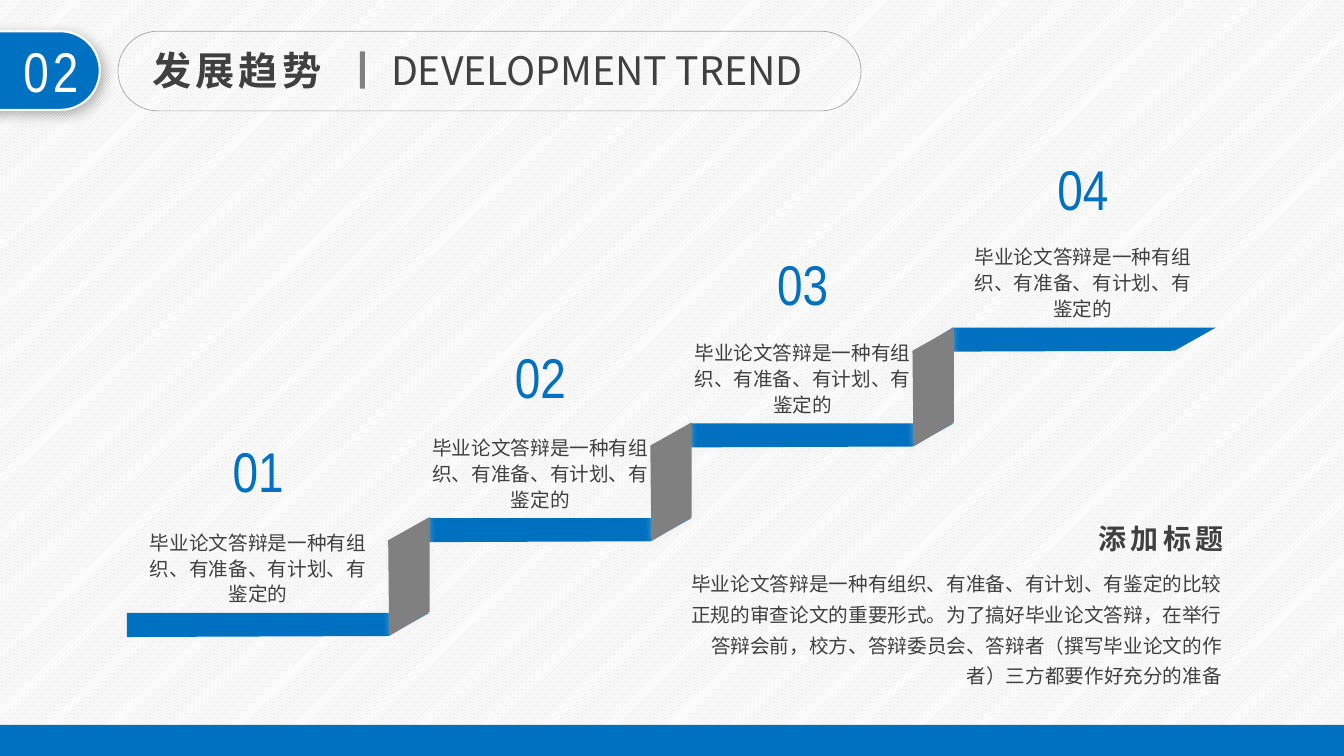
from lxml import etree
from pptx import Presentation, util as u
from pptx.dml.color import RGBColor
from pptx.enum import dml, shapes, text as t
from pptx.oxml import ns

PX = 9144  # 100 px to the inch
BLUE = RGBColor(0x00, 0x70, 0xC0)
GRAY = RGBColor(0x80, 0x80, 0x80)
DARK = RGBColor(0x40, 0x40, 0x40)
EDGE = RGBColor(0xA6, 0xA6, 0xA6)
PALE = RGBColor(0xEC, 0xEC, 0xEC)
HATCH = RGBColor(0xD9, 0xD9, 0xD9)
WHITE = RGBColor(0xFF, 0xFF, 0xFF)
BLACK = RGBColor(0, 0, 0)
NOTO, SLIM, ARIAL = "Noto Sans CJK SC", "Arial Narrow", "Arial"
LEFT, MID, RIGHT = t.PP_ALIGN.LEFT, t.PP_ALIGN.CENTER, t.PP_ALIGN.RIGHT
TOP, CENTER, BASE = t.MSO_ANCHOR.TOP, t.MSO_ANCHOR.MIDDLE, t.MSO_ANCHOR.BOTTOM
FIT, FIXED = t.MSO_AUTO_SIZE.SHAPE_TO_FIT_TEXT, t.MSO_AUTO_SIZE.NONE

prs = Presentation()
prs.slide_width, prs.slide_height = 1333 * PX, 750 * PX
slide = prs.slides.add_slide(prs.slide_layouts[5])
back = slide.background.fill
back.patterned()
back.pattern = dml.MSO_PATTERN.LIGHT_UPWARD_DIAGONAL
back.fore_color.rgb, back.back_color.rgb = HATCH, WHITE


def write(words, box, size, font, color=DARK, bold=False, track=0, align=LEFT,
          anchor=TOP, inset=(10, 5, 10, 5), wrap=True, fit=FIT, lead=1.0, shape=None):
    """Put words in a new text box, or in the given placeholder; box is in px."""
    shape = shape or slide.shapes.add_textbox(0, 0, 0, 0)
    shape.left, shape.top, shape.width, shape.height = [v * PX for v in box]
    frame = shape.text_frame
    frame.margin_left, frame.margin_top, frame.margin_right, frame.margin_bottom = [
        v * PX for v in inset]
    frame.word_wrap, frame.auto_size, frame.vertical_anchor = wrap, fit, anchor
    para = frame.paragraphs[0]
    para.alignment, para.line_spacing = align, lead
    run = para.add_run()
    run.text = words
    run.font.size, run.font.name, run.font.bold = u.Pt(size), font, bold
    run.font.color.rgb = color
    props = run.font._element
    props.set("spc", str(track * 100))
    props.find(ns.qn("a:latin")).addnext(
        props.makeelement(ns.qn("a:ea"), {"typeface": NOTO}))


def paint(shape, fill=None, line=None, width=1, shade=None):
    """Set fill, line and shadow; shade is colour, opacity %, blur pt, distance pt, angle."""
    shape.shadow.inherit = False
    if fill is None:
        shape.fill.background()
    else:
        shape.fill.solid()
        shape.fill.fore_color.rgb = fill
    if line is None:
        shape.line.fill.background()
    else:
        shape.line.color.rgb, shape.line.width = line, u.Pt(width)
    if shade:
        tint, alpha, blur, dist, angle = shade
        effects = shape._element.spPr.find(ns.qn("a:effectLst"))
        outer = etree.SubElement(
            effects, ns.qn("a:outerShdw"), blurRad=str(u.Pt(blur)),
            dist=str(u.Pt(dist)), dir=str(angle * 60000), algn="ctr", rotWithShape="0")
        hue = etree.SubElement(outer, ns.qn("a:srgbClr"), val=str(tint))
        etree.SubElement(hue, ns.qn("a:alpha"), val=str(alpha * 1000))


# Header and footer
RECT, ROUND = shapes.MSO_SHAPE.RECTANGLE, shapes.MSO_SHAPE.ROUNDED_RECTANGLE
for kind, box, look in (
    (ROUND, (-112, 31, 211, 78),
     dict(fill=BLUE, line=WHITE, width=1.5, shade=(BLACK, 30, 10, 4, 45))),
    (ROUND, (117, 31, 737, 79), dict(line=EDGE, width=0.5)),
    (RECT, (357, 51, 5, 37), dict(fill=GRAY)),
    (RECT, (0, 719, 1333, 31), dict(fill=BLUE)),
):
    shape = slide.shapes.add_shape(kind, *[v * PX for v in box])
    if kind == ROUND:
        shape.adjustments[0] = 0.5
    paint(shape, **look)

write("02", (2, 31, 97, 77), 40, SLIM, WHITE, track=3, align=MID)
write("发展趋势", (141, 41, 196, 57), 28, NOTO, bold=True, track=3,
      shape=slide.shapes.title)
write("DEVELOPMENT TREND", (378, 41, 452, 57), 28, NOTO, wrap=False)

# Staircase: four treads, then the three risers between them
tops = [608 - i * 283 // 3 for i in range(4)]
lefts = [126 + 260 * i for i in range(4)]
treads = [[(x, y + 24), (x + 39 if i else x, y), (x + 300, y), (x + 259, y + 23)]
          for i, (x, y) in enumerate(zip(lefts, tops))]
risers = [[(x, y + 23), (x + 40, y - 1), (x + 40, y - 95), (x - 1, y - 72)]
          for x, y in zip(lefts[1:], tops)]
for color, group in ((BLUE, treads), (GRAY, risers)):
    for points in group:
        path = slide.shapes.build_freeform(*points[0], scale=PX)
        path.add_line_segments(points[1:], close=True)
        paint(path.convert_to_shape(), color, shade=(PALE, 40, 5, 0, 0))

for i, x in enumerate((148, 428, 688, 966)):
    write(f"0{i + 1}", (x + 16, 441 - i * 280 // 3, 184, 46), 40, SLIM, BLUE,
          align=MID, anchor=CENTER, inset=(0, 5, 0, 0), fit=FIXED)
    write("毕业论文答辩是一种有组织、有准备、有计划、有鉴定的",
          (x, tops[i] - 109, 216, 102), 14, ARIAL, align=MID, anchor=BASE,
          inset=(0, 0, 0, 0), fit=FIXED, lead=1.1)

# Summary
write("毕业论文答辩是一种有组织、有准备、有计划、有鉴定的比较正规的审查论文的重要形式。"
      "为了搞好毕业论文答辩，在举行答辩会前，校方、答辩委员会、答辩者（撰写毕业论文的作者）"
      "三方都要作好充分的准备",
      (671, 556, 551, 133), 14, ARIAL, align=RIGHT, lead=1.3)
write("添加标题", (1077, 512, 149, 44), 20, NOTO, bold=True, track=3,
      align=MID, wrap=False)

prs.save("out.pptx")
